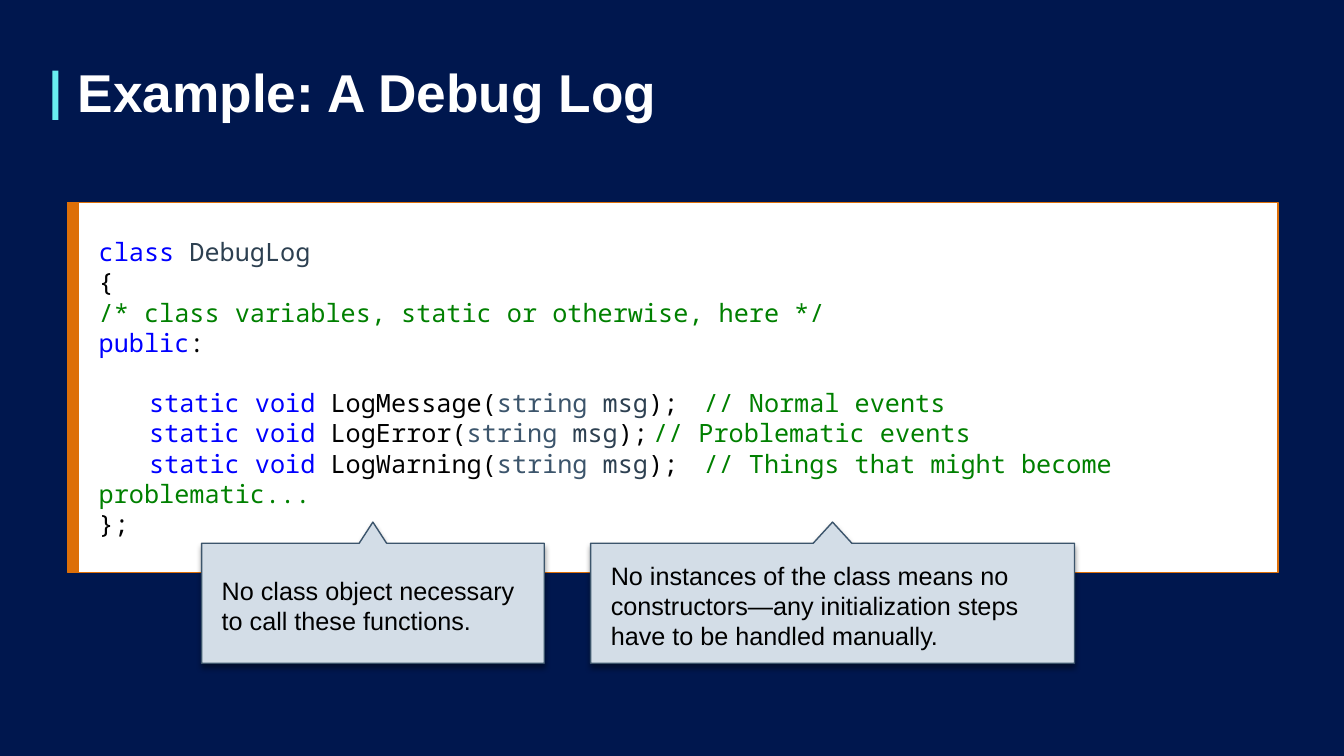
"""Build the debug log example slide."""
from lxml import etree
from pptx import Presentation
from pptx import util as u
from pptx.dml.color import RGBColor
from pptx.enum import shapes, text
from pptx.oxml import ns

NAVY = RGBColor(0x00, 0x17, 0x4E)
AQUA = RGBColor(0x69, 0xEE, 0xF0)
ORANGE = RGBColor(0xDD, 0x6F, 0x08)
WHITE = RGBColor(0xFF, 0xFF, 0xFF)
BLACK = RGBColor(0x00, 0x00, 0x00)
KEYWORD = RGBColor(0x00, 0x00, 0xFF)
COMMENT = RGBColor(0x00, 0x80, 0x00)
NAME = RGBColor(0x2D, 0x40, 0x51)
SLATE = RGBColor(0x3C, 0x55, 0x6C)
MIST = RGBColor(0xD3, 0xDD, 0xE7)

TITLE_FONT = {"name": "Arial", "size": u.Pt(38), "bold": True}
NOTE_FONT = {"name": "Arial", "size": u.Pt(18)}
CODE_FONT = {"name": "Noto Sans Mono", "size": u.Pt(18)}
CODE_FRAME = {
    "word_wrap": True, "vertical_anchor": text.MSO_ANCHOR.MIDDLE,
    "margin_left": u.Pt(14.4), "margin_right": u.Pt(14.4),
    "margin_top": u.Pt(14.4), "margin_bottom": u.Pt(14.4),
}
NOTE_FRAME = {**CODE_FRAME, "margin_top": u.Pt(36), "margin_bottom": u.Pt(18)}
TITLE_FRAME = {"word_wrap": True, "vertical_anchor": text.MSO_ANCHOR.MIDDLE,
               "auto_size": text.MSO_AUTO_SIZE.NONE}
CODE_TABS = (36, 396, 432)


def log_line(function, remark):
    """Return the coloured runs of one logging function."""
    return [("\tstatic void ", KEYWORD), (f"{function}(", BLACK), ("string ", SLATE),
            ("msg", NAME), (");\t", BLACK), (f"// {remark}", COMMENT)]


CODE = [
    [("class ", KEYWORD), ("DebugLog", NAME)],
    [("{", BLACK)],
    [("/* class variables, static or otherwise, here */", COMMENT)],
    [("public", KEYWORD), (":", BLACK)],
    [("\t", KEYWORD)],
    log_line("LogMessage", "Normal events"),
    log_line("LogError", "Problematic events"),
    log_line("LogWarning", "Things that might become problematic..."),
    [("};", BLACK)],
]
NOTES = [
    ((144, 372.96, 244.8, 100.8), "No class object necessary to call these functions."),
    ((421.92, 372.96, 345.6, 100.8),
     "No instances of the class means no constructors—any initialization steps "
     "have to be handled manually."),
]


def apply(target, values):
    """Set each attribute in values on target."""
    for attribute, value in values.items():
        setattr(target, attribute, value)


def add_run(paragraph, words, font, color):
    """Append formatted words to a paragraph."""
    run = paragraph.add_run()
    run.text = words
    apply(run.font, font)
    run.font.color.rgb = color


def paint(shape, fill, line=None):
    """Give a shape a flat fill and an optional thin outline."""
    shape.shadow.inherit = False
    shape.fill.solid()
    shape.fill.fore_color.rgb = fill
    if line is None:
        shape.line.fill.background()
    else:
        shape.line.color.rgb = line
        shape.line.width = u.Pt(1)


def add_block(slide, box, fill, line=None):
    """Add a painted rectangle in the box."""
    shape = slide.shapes.add_shape(shapes.MSO_SHAPE.RECTANGLE, *map(u.Pt, box))
    paint(shape, fill, line)
    return shape


def add_tabs(paragraph):
    """Set the tab stops of a code line."""
    tabs = etree.SubElement(paragraph._p.get_or_add_pPr(), ns.qn("a:tabLst"))
    for position in CODE_TABS:
        etree.SubElement(tabs, ns.qn("a:tab"), pos=str(u.Pt(position)), algn="l")


def add_shadow(shape):
    """Add a soft shadow below a shape."""
    effects = shape._element.spPr.find(ns.qn("a:effectLst"))
    shadow = etree.SubElement(
        effects, ns.qn("a:outerShdw"), blurRad=str(u.Pt(4)), dist=str(u.Pt(3)),
        dir="5400000", algn="t", rotWithShape="0")
    color = etree.SubElement(shadow, ns.qn("a:srgbClr"), val=str(BLACK))
    etree.SubElement(color, ns.qn("a:alpha"), val="40000")


def add_title(slide, box, words):
    """Place the title with its accent bar on the left."""
    left, top, width, height = box
    add_block(slide, (left - 10.8, top + 6.48, 4.32, 35.28), AQUA)
    title = slide.shapes.title
    apply(title, {"left": u.Pt(left), "top": u.Pt(top),
                  "width": u.Pt(width), "height": u.Pt(height)})
    apply(title.text_frame, TITLE_FRAME)
    paragraph = title.text_frame.paragraphs[0]
    apply(paragraph, {"alignment": text.PP_ALIGN.LEFT, "line_spacing": 0.9})
    add_run(paragraph, words, TITLE_FONT, WHITE)


def add_code(slide, box, lines):
    """Place the code panel with its stripe on the left."""
    left, top, width, height = box
    frame = add_block(slide, box, WHITE, ORANGE).text_frame
    apply(frame, CODE_FRAME)
    for index, line in enumerate(lines):
        paragraph = frame.add_paragraph() if index else frame.paragraphs[0]
        paragraph.alignment = text.PP_ALIGN.LEFT
        add_tabs(paragraph)
        for words, color in line:
            add_run(paragraph, words, CODE_FONT, color)
    add_block(slide, (left - 7.92, top, 7.92, height), ORANGE, ORANGE)


def add_note(slide, box, words):
    """Place a note whose beak points up from its middle."""
    left, top, width, height = box
    right, bottom, middle = left + width, top + height, left + width / 2
    shoulder, beak = top + height * 0.15, width * 0.04
    corners = [(middle + beak, shoulder), (right, shoulder), (right, bottom),
               (left, bottom), (left, shoulder), (middle - beak, shoulder)]
    builder = slide.shapes.build_freeform(u.Pt(middle), u.Pt(top))
    builder.add_line_segments([(u.Pt(x), u.Pt(y)) for x, y in corners], close=True)
    shape = builder.convert_to_shape()
    paint(shape, MIST, SLATE)
    add_shadow(shape)
    apply(shape.text_frame, NOTE_FRAME)
    paragraph = shape.text_frame.paragraphs[0]
    paragraph.alignment = text.PP_ALIGN.LEFT
    add_run(paragraph, words, NOTE_FONT, BLACK)


def main():
    """Build and save the presentation."""
    presentation = Presentation()
    apply(presentation, {"slide_width": u.Pt(960), "slide_height": u.Pt(540)})
    slide = presentation.slides.add_slide(presentation.slide_layouts[5])
    slide.background.fill.solid()
    slide.background.fill.fore_color.rgb = NAVY
    add_title(slide, (48.24, 43.92, 856.8, 48.96), "Example: A Debug Log")
    add_code(slide, (56.16, 144.72, 856.8, 264.24), CODE)
    for box, words in NOTES:
        add_note(slide, box, words)
    presentation.save("out.pptx")


if __name__ == "__main__":
    main()
